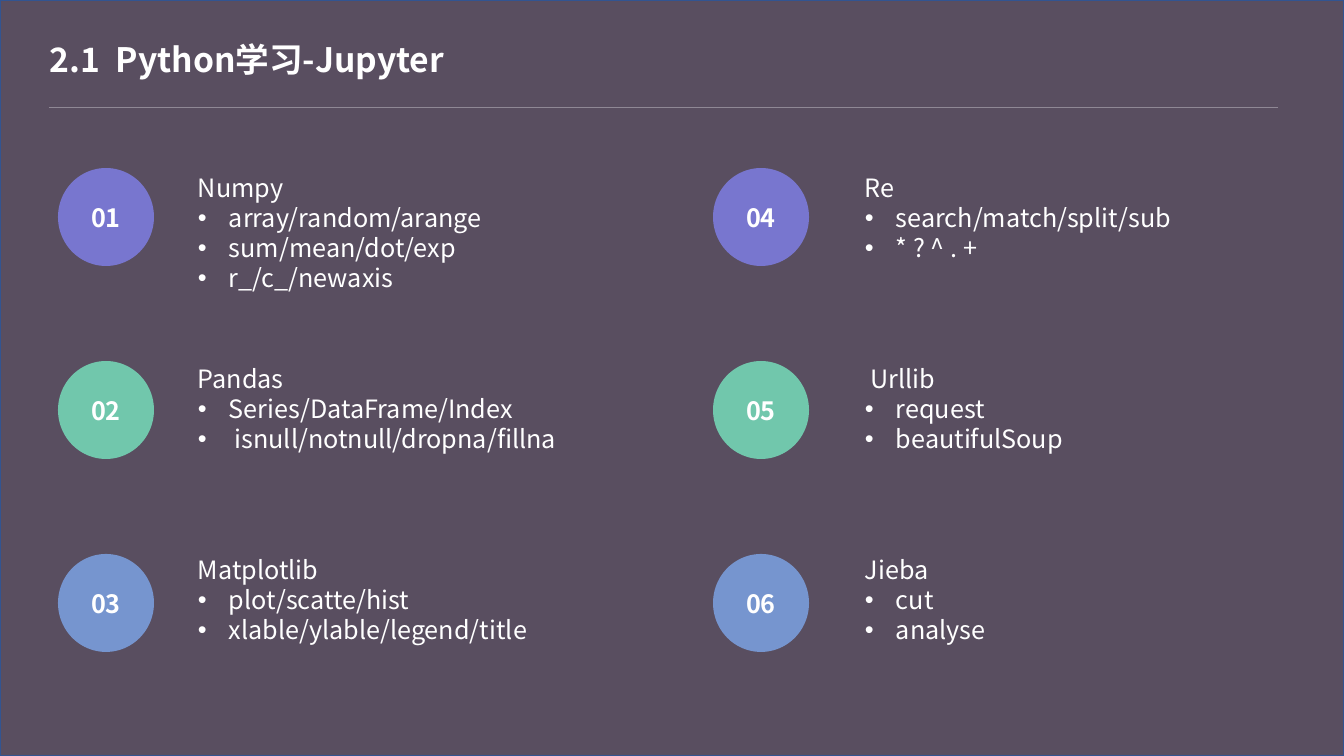
from lxml import etree
from pptx import Presentation, util as u
from pptx.dml.color import RGBColor
from pptx.enum import shapes, text
from pptx.oxml.ns import qn

PX = 9071
FONT = "Noto Sans CJK SC"
COLORS = {"ground": "594E60", "edge": "325491", "rule": "8F8895", "text": "FFFFFF",
          "violet": "7876CF", "green": "71C7AC", "blue": "7695CF"}
ROW_COLORS = ["violet", "green", "blue"]
COLUMNS = [(58, 188), (713, 855)]
LIBRARIES = [
    ("Numpy", ["array/random/arange", "sum/mean/dot/exp", "r_/c_/newaxis"], 363, 132),
    ("Pandas", ["Series/DataFrame/Index", " isnull/notnull/dropna/fillna"], 395, 132),
    ("Matplotlib", ["plot/scatte/hist", "xlable/ylable/legend/title"], 395, 102),
    ("Re", ["search/match/split/sub", "* ? ^ . +"], 363, 102),
    (" Urllib", ["request", "beautifulSoup"], 363, 102),
    ("Jieba", ["cut", "analyse"], 455, 102),
]


def px(*lengths):
    """Turn pixel lengths into EMU."""
    return [u.Emu(n * PX) for n in lengths]


def color(name):
    """Look up a named colour."""
    return RGBColor.from_string(COLORS[name])


def add_run(p, words, size=18, bold=False):
    """Add one formatted run to a paragraph."""
    r = p.add_run()
    r.text = words
    for key, value in {"name": FONT, "size": u.Pt(size), "bold": bold}.items():
        setattr(r.font, key, value)
    r.font.color.rgb = color("text")
    etree.SubElement(r.font._element, qn("a:ea"), typeface=FONT)


def add_shape(s, kind, box, fill, line=None):
    """Add a filled preset shape without shadow."""
    sp = s.shapes.add_shape(kind, *px(*box))
    sp.shadow.inherit = False
    sp.fill.solid()
    sp.fill.fore_color.rgb = color(fill)
    if line:
        sp.line.color.rgb = color(line)
        sp.line.width = u.Pt(1)
    else:
        sp.line.fill.background()
    return sp


def add_badge(s, left, top, number, fill):
    """Add a numbered circle."""
    sp = add_shape(s, shapes.MSO_SHAPE.OVAL, (left, top, 96, 98), fill)
    tf = sp.text_frame
    tf.vertical_anchor = text.MSO_ANCHOR.MIDDLE
    p = tf.paragraphs[0]
    p.alignment = text.PP_ALIGN.CENTER
    add_run(p, f"{number:02}", bold=True)


def add_bullet(p, indent):
    """Give a paragraph a hanging bullet."""
    pPr = p._p.get_or_add_pPr()
    pPr.set("marL", str(indent))
    pPr.set("indent", str(-indent))
    etree.SubElement(pPr, qn("a:buFont"), typeface="Arial")
    etree.SubElement(pPr, qn("a:buChar"), char="•")


def add_text(s, box, heading, items=(), size=18, bold=False):
    """Add a text box with a heading and bulleted items."""
    tf = s.shapes.add_textbox(*px(*box)).text_frame
    tf.word_wrap = True
    tf.auto_size = text.MSO_AUTO_SIZE.SHAPE_TO_FIT_TEXT
    for i, words in enumerate([heading, *items]):
        p = tf.add_paragraph() if i else tf.paragraphs[0]
        p.line_spacing = u.Pt(round(size * 1.19, 1))
        if i:
            add_bullet(p, px(31)[0])
        add_run(p, words, size, bold)


def add_rule(s, left, right, y):
    """Add the thin line below the title."""
    line = s.shapes.add_connector(shapes.MSO_CONNECTOR.STRAIGHT, *px(left, y, right, y))
    line.line.color.rgb = color("rule")
    line.line.width = u.Pt(0.5)
    etree.SubElement(line._element.spPr, qn("a:effectLst"))


def main():
    """Build and save the slide."""
    prs = Presentation()
    prs.slide_width, prs.slide_height = px(1344, 756)
    s = prs.slides.add_slide(prs.slide_layouts[6])
    add_shape(s, shapes.MSO_SHAPE.RECTANGLE, (0, 0, 1344, 756), "ground", "edge")
    add_text(s, (40, 34, 505, 50), "2.1  Python学习-Jupyter", size=24, bold=True)
    for i, (heading, items, width, height) in enumerate(LIBRARIES):
        column, row = divmod(i, 3)
        badge_left, text_left = COLUMNS[column]
        add_text(s, (text_left, 168 + 191 * row, width, height), heading, items)
        add_badge(s, badge_left, 168 + 193 * row, i + 1, ROW_COLORS[row])
    add_rule(s, 49, 1278, 107)
    prs.save("out.pptx")


main()
